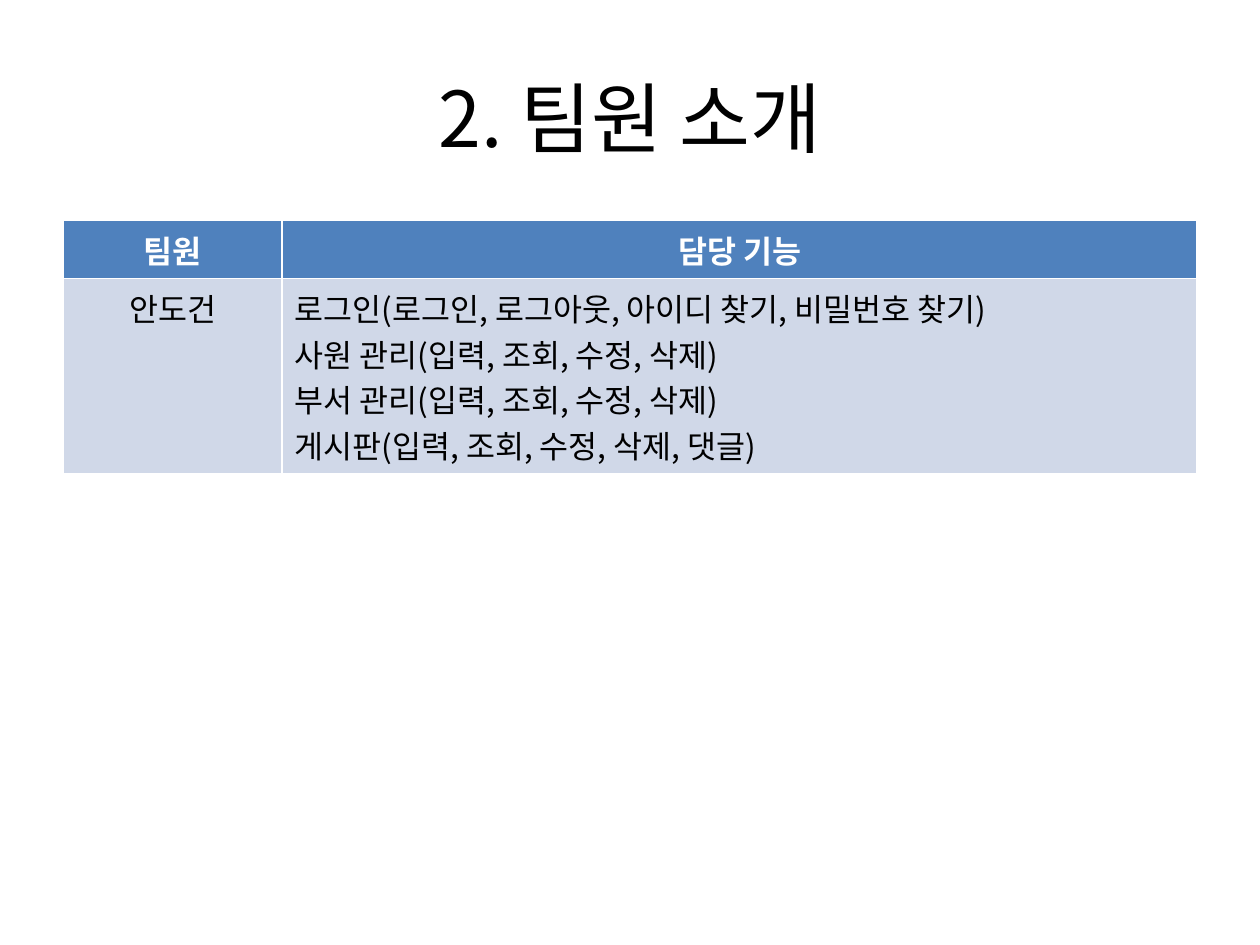
import pptx
import pptx.dml.color
import pptx.enum.text
import pptx.oxml
import pptx.oxml.ns
import pptx.util

BLACK = pptx.dml.color.RGBColor(0x00, 0x00, 0x00)
WHITE = pptx.dml.color.RGBColor(0xFF, 0xFF, 0xFF)
HEADER_BLUE = pptx.dml.color.RGBColor(0x4F, 0x81, 0xBD)
BODY_BLUE = pptx.dml.color.RGBColor(0xD0, 0xD8, 0xE8)

FONT = "Noto Sans CJK KR"
CENTER = pptx.enum.text.PP_ALIGN.CENTER
LEFT = pptx.enum.text.PP_ALIGN.LEFT

TITLE_FORMAT = {"name": FONT, "size": pptx.util.Pt(44), "bold": False}
HEADER_FORMAT = {"name": FONT, "size": pptx.util.Pt(18), "bold": True}
BODY_FORMAT = {"name": FONT, "size": pptx.util.Pt(18), "bold": False}

HEADINGS = ["팀원", "담당 기능"]
MEMBERS = [
    [
        "안도건",
        "로그인(로그인, 로그아웃, 아이디 찾기, 비밀번호 찾기)\n"
        "사원 관리(입력, 조회, 수정, 삭제)\n"
        "부서 관리(입력, 조회, 수정, 삭제)\n"
        "게시판(입력, 조회, 수정, 삭제, 댓글)",
    ],
]


class SlideBuilder:
    def __init__(self, presentation):
        self.width = presentation.slide_width
        self.height = presentation.slide_height
        self.slide = presentation.slides.add_slide(presentation.slide_layouts[5])

    def box(self, left, top, width, height):
        return (
            round(left * self.width),
            round(top * self.height),
            round(width * self.width),
            round(height * self.height),
        )

    def set_text(self, text_frame, text, font_format, color, alignment):
        text_frame.text = text
        for paragraph in text_frame.paragraphs:
            paragraph.alignment = alignment
            for run in paragraph.runs:
                for attribute, value in font_format.items():
                    setattr(run.font, attribute, value)
                run.font.color.rgb = color
                east_asian = pptx.oxml.parse_xml(
                    f'<a:ea {pptx.oxml.ns.nsdecls("a")} typeface="{FONT}"/>'
                )
                run._r.get_or_add_rPr().append(east_asian)

    def title(self, text, box):
        shape = self.slide.shapes.title
        shape.left, shape.top, shape.width, shape.height = self.box(*box)
        shape.text_frame.vertical_anchor = pptx.enum.text.MSO_ANCHOR.MIDDLE
        self.set_text(shape.text_frame, text, TITLE_FORMAT, BLACK, CENTER)

    def table(self, rows, box, column_shares, alignments):
        shape = self.slide.shapes.add_table(
            len(rows), len(column_shares), *self.box(*box)
        )
        table = shape.table
        for column, share in zip(table.columns, column_shares):
            column.width = round(share * self.width)
        for row_index, row in enumerate(rows):
            is_header = row_index == 0
            font_format = HEADER_FORMAT if is_header else BODY_FORMAT
            color = WHITE if is_header else BLACK
            for column_index, text in enumerate(row):
                cell = table.cell(row_index, column_index)
                cell.fill.solid()
                cell.fill.fore_color.rgb = HEADER_BLUE if is_header else BODY_BLUE
                alignment = CENTER if is_header else alignments[column_index]
                self.set_text(cell.text_frame, text, font_format, color, alignment)


def main():
    presentation = pptx.Presentation()
    presentation.slide_width = pptx.util.Inches(10)
    presentation.slide_height = pptx.util.Inches(7.5)

    builder = SlideBuilder(presentation)
    builder.title("2. 팀원 소개", (0.05, 0.04, 0.9, 1 / 6))
    builder.table(
        [HEADINGS] + MEMBERS,
        (0.05, 7 / 30, 0.9, 0.11),
        column_shares=(0.174, 0.726),
        alignments=(CENTER, LEFT),
    )
    presentation.save("out.pptx")


if __name__ == "__main__":
    main()
